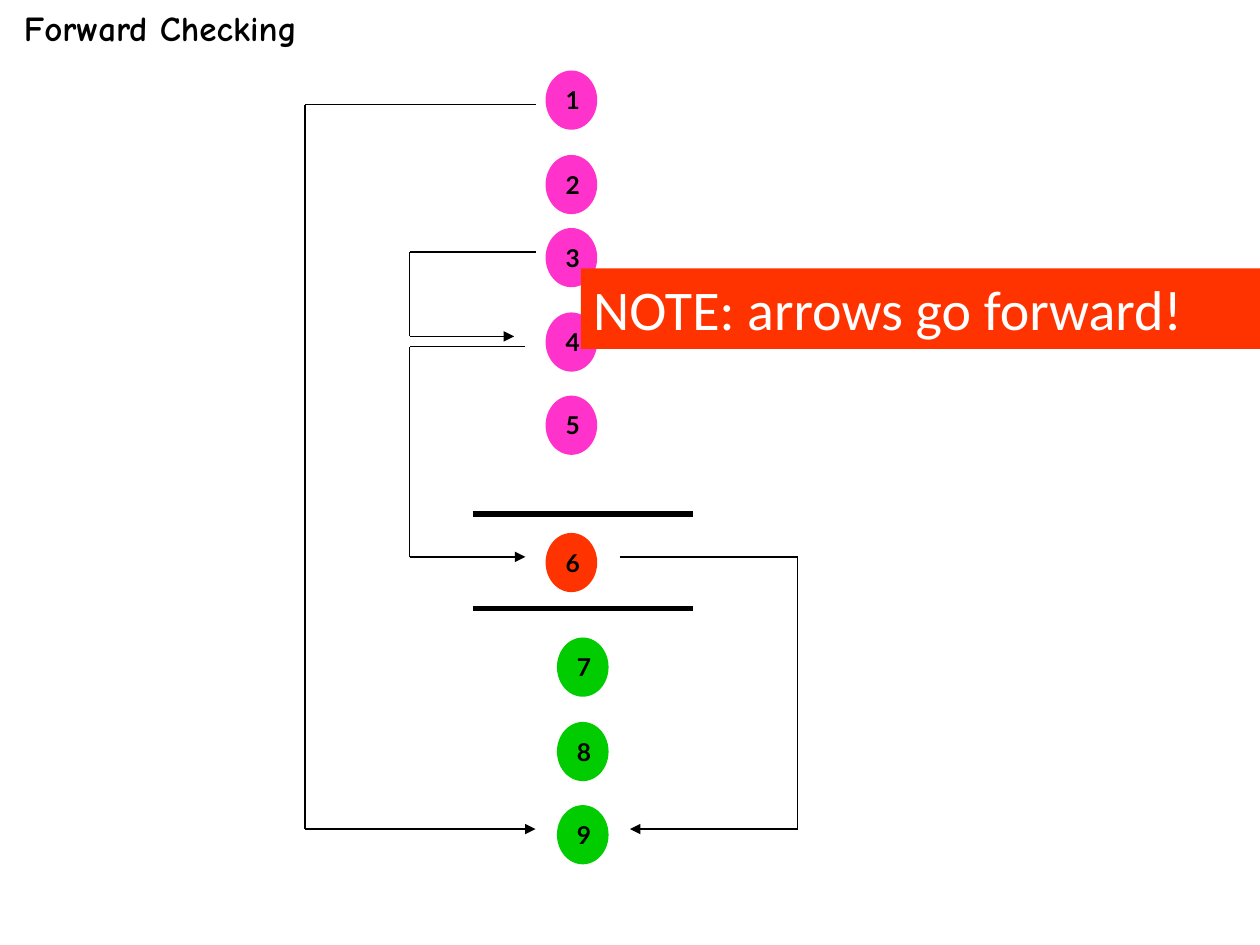
from dataclasses import dataclass
from itertools import pairwise

from lxml.etree import SubElement
from pptx import Presentation
from pptx.dml.color import RGBColor
from pptx.enum.shapes import MSO_CONNECTOR, MSO_SHAPE
from pptx.enum.text import MSO_ANCHOR, MSO_AUTO_SIZE, PP_ALIGN
from pptx.oxml.ns import qn
from pptx.util import Inches, Pt


@dataclass(frozen=True)
class Theme:
    ink: RGBColor = RGBColor(0x00, 0x00, 0x00)
    paper: RGBColor = RGBColor(0xFF, 0xFF, 0xFF)
    past: RGBColor = RGBColor(0xFF, 0x33, 0xCC)
    current: RGBColor = RGBColor(0xFF, 0x33, 0x00)
    future: RGBColor = RGBColor(0x00, 0xCC, 0x00)
    title_font: str = "Comic Neue"
    node_font: str = "Lato"
    note_font: str = "Calibri"
    title_size: int = 20
    node_size: int = 14
    note_size: int = 32


theme = Theme()


def write_text(shape, text, *, font, size, color, bold=False,
               align=PP_ALIGN.LEFT, anchor=MSO_ANCHOR.TOP, wrap=True):
    frame = shape.text_frame
    frame.auto_size = MSO_AUTO_SIZE.NONE
    frame.word_wrap = wrap
    frame.vertical_anchor = anchor
    frame.margin_left = frame.margin_right = Inches(0.1)
    frame.margin_top = frame.margin_bottom = Inches(0.05)
    paragraph = frame.paragraphs[0]
    paragraph.alignment = align
    run = paragraph.add_run()
    run.text = text
    run.font.name = font
    run.font.size = Pt(size)
    run.font.bold = bold
    run.font.color.rgb = color


def draw_line(start, end, width=0.75, arrow=False):
    connector = slide.shapes.add_connector(
        MSO_CONNECTOR.STRAIGHT, *map(Inches, start + end))
    connector.line.color.rgb = theme.ink
    connector.line.width = Pt(width)
    if arrow:
        SubElement(connector.line._get_or_add_ln(), qn("a:tailEnd"), type="triangle")
    SubElement(connector._element.spPr, qn("a:effectLst"))


presentation = Presentation()
presentation.slide_width = Inches(10)
presentation.slide_height = Inches(7.5)
slide = presentation.slides.add_slide(presentation.slide_layouts[5])
slide.background.fill.solid()
slide.background.fill.fore_color.rgb = theme.paper

title = slide.shapes.title
title.left, title.top = Inches(0.09), Inches(0)
title.width, title.height = Inches(2.37), Inches(0.44)
write_text(title, "Forward Checking", font=theme.title_font,
           size=theme.title_size, color=theme.ink, bold=True, wrap=False)

# Rules above and below the current variable
for y in (4.08, 4.83):
    draw_line((3.75, y), (5.5, y), width=3)

# Variables in search order: past, current, future
node_groups = [
    (theme.past, 4.33, (0.56, 1.23, 1.81, 2.48, 3.14)),
    (theme.current, 4.33, (4.23,)),
    (theme.future, 4.42, (5.06, 5.73, 6.39)),
]
nodes = [(color, x, y) for color, x, tops in node_groups for y in tops]
for number, (color, x, y) in enumerate(nodes, start=1):
    node = slide.shapes.add_shape(
        MSO_SHAPE.OVAL, Inches(x), Inches(y), Inches(0.41), Inches(0.47))
    node.shadow.inherit = False
    node.fill.solid()
    node.fill.fore_color.rgb = color
    node.line.fill.background()
    write_text(node, str(number), font=theme.node_font, size=theme.node_size,
               color=theme.ink, bold=True, align=PP_ALIGN.CENTER,
               anchor=MSO_ANCHOR.MIDDLE)

# Each route leaves a node, runs down a side lane and points at a later node
routes = [
    # start x, start y, lane x, end x, end y
    (4.25, 0.83, 2.42, 4.25, 6.58),
    (4.17, 2.75, 3.25, 4.17, 4.42),
    (4.25, 2, 3.25, 4.08, 2.67),
    (4.92, 4.42, 6.33, 5, 6.58),
]
for start_x, start_y, lane_x, end_x, end_y in routes:
    corners = [(start_x, start_y), (lane_x, start_y), (lane_x, end_y), (end_x, end_y)]
    for start, end in pairwise(corners):
        draw_line(start, end, arrow=end == corners[-1])

note = slide.shapes.add_shape(
    MSO_SHAPE.RECTANGLE, Inches(4.61), Inches(2.13), Inches(5.62), Inches(0.64))
note.shadow.inherit = False
note.fill.solid()
note.fill.fore_color.rgb = theme.current
note.line.fill.background()
write_text(note, "NOTE: arrows go forward!", font=theme.note_font,
           size=theme.note_size, color=theme.paper)

presentation.save("out.pptx")
